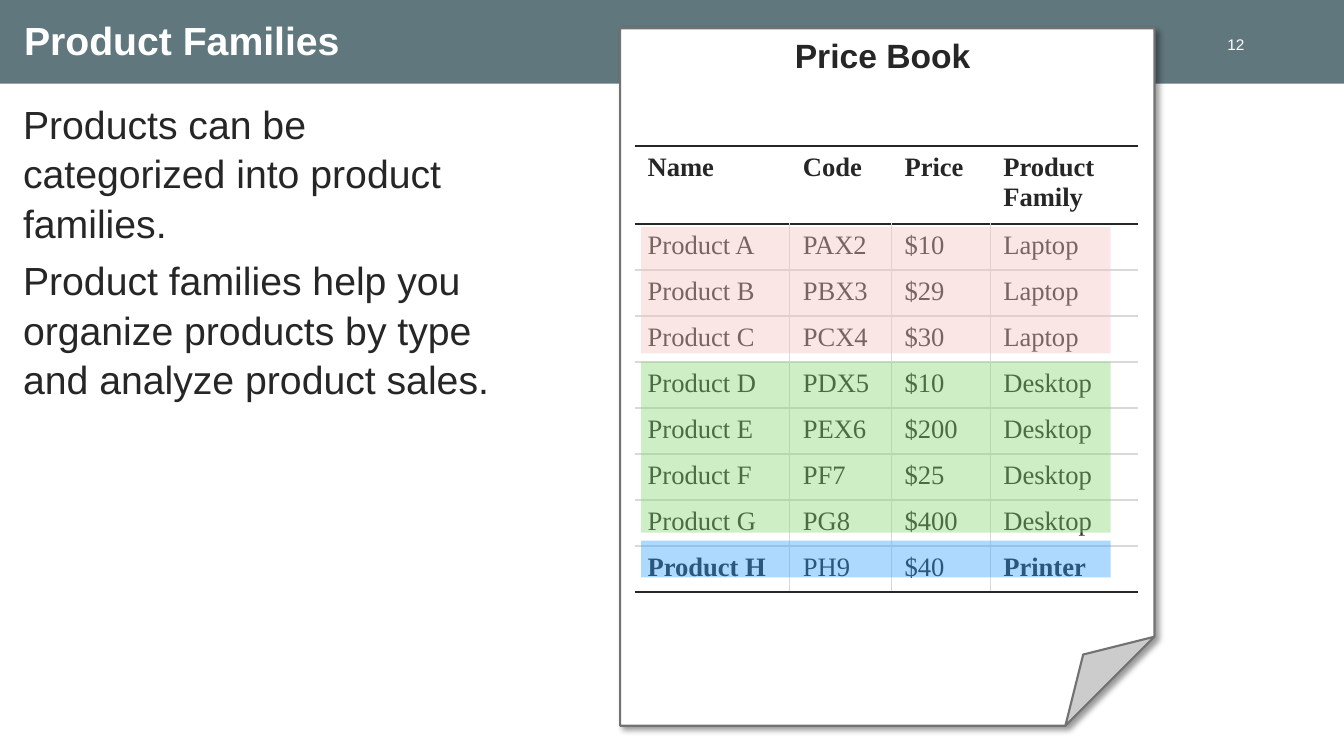
from collections import namedtuple

from lxml import etree
from pptx import Presentation
from pptx.dml.color import RGBColor
from pptx.enum.shapes import MSO_SHAPE
from pptx.enum.text import MSO_ANCHOR, PP_ALIGN
from pptx.oxml.ns import qn
from pptx.util import Inches, Pt

RECTANGLE, FOLDED_CORNER = MSO_SHAPE.RECTANGLE, MSO_SHAPE.FOLDED_CORNER
TOP, MIDDLE = MSO_ANCHOR.TOP, MSO_ANCHOR.MIDDLE
LEFT, CENTER, RIGHT = PP_ALIGN.LEFT, PP_ALIGN.CENTER, PP_ALIGN.RIGHT

COLORS = {
    "banner": "60777E", "white": "FFFFFF", "ink": "262626",
    "outline": "727272", "grid": "D9D9D9", "shadow": "000000",
    "Laptop": "F6C2C1", "Desktop": "85D86F", "Printer": "33A1FE",
}
SANS, SERIF = "Arial", "Times New Roman"
CELL_INSETS = (0.13, 0.07, 0.13, 0.07)

HEADINGS = ("Name", "Code", "Price", "Product Family")
PRODUCTS = (
    ("Product A", "PAX2", "$10", "Laptop"),
    ("Product B", "PBX3", "$29", "Laptop"),
    ("Product C", "PCX4", "$30", "Laptop"),
    ("Product D", "PDX5", "$10", "Desktop"),
    ("Product E", "PEX6", "$200", "Desktop"),
    ("Product F", "PF7", "$25", "Desktop"),
    ("Product G", "PG8", "$400", "Desktop"),
    ("Product H", "PH9", "$40", "Printer"),
)
COLUMN_WEIGHTS = (1.54, 1.01, 0.98, 1.47)

Box = namedtuple("Box", "left top width height")


def portion(box, left, top, width, height):
    """Return the part of a box given in percent of its width and height."""
    return Box(round(box.left + box.width * left / 100),
               round(box.top + box.height * top / 100),
               round(box.width * width / 100),
               round(box.height * height / 100))


def color(name):
    return RGBColor.from_string(COLORS[name])


def write(frame, *texts, size, ink="ink", font=SANS, bold=False, align=LEFT,
          anchor=TOP, insets=(0.1, 0.05, 0.1, 0.05), spacing=None, gap=0):
    """Fill a text frame with one paragraph per text; gap is in points."""
    frame.word_wrap = True
    frame.vertical_anchor = anchor
    (frame.margin_left, frame.margin_top,
     frame.margin_right, frame.margin_bottom) = map(Inches, insets)
    for index, text in enumerate(texts):
        paragraph = frame.add_paragraph() if index else frame.paragraphs[0]
        paragraph.alignment = align
        if spacing:
            paragraph.line_spacing = spacing
        if index:
            paragraph.space_before = Pt(gap)
        run = paragraph.add_run()
        run.text = text
        run.font.size, run.font.name, run.font.bold = Pt(size), font, bold
        run.font.color.rgb = color(ink)


def add_text(slide, box, *texts, **text_format):
    write(slide.shapes.add_textbox(*box).text_frame, *texts, **text_format)


def add_panel(slide, box, fill, kind=RECTANGLE, opacity=None):
    shape = slide.shapes.add_shape(kind, *box)
    shape.shadow.inherit = False
    shape.fill.solid()
    shape.fill.fore_color.rgb = color(fill)
    shape.line.fill.background()
    if opacity:
        tint = shape.fill._xPr.find(".//" + qn("a:srgbClr"))
        etree.SubElement(tint, qn("a:alpha"), val=str(opacity * 1000))
    return shape


def add_shadow(shape):
    effects = shape._element.spPr.find(qn("a:effectLst"))
    shadow = etree.SubElement(
        effects, qn("a:outerShdw"), blurRad=str(Pt(4)), dist=str(Pt(3)),
        dir=str(45 * 60000), algn="tl", rotWithShape="0")
    tint = etree.SubElement(shadow, qn("a:srgbClr"), val=COLORS["shadow"])
    etree.SubElement(tint, qn("a:alpha"), val="40000")


def set_borders(cell, **edges):
    """Draw the sides lnL, lnR, lnT and lnB given as (color, points) or None."""
    properties = cell._tc.get_or_add_tcPr()
    for index, side in enumerate(("lnL", "lnR", "lnT", "lnB")):
        line = etree.Element(qn("a:" + side))
        properties.insert(index, line)
        if edges[side]:
            name, points = edges[side]
            line.set("w", str(Pt(points)))
            fill = etree.SubElement(line, qn("a:solidFill"))
            etree.SubElement(fill, qn("a:srgbClr"), val=COLORS[name])
        else:
            etree.SubElement(line, qn("a:noFill"))


def add_banner(slide, box):
    add_panel(slide, box, "banner")
    add_text(slide, portion(box, 1.05, 0, 88.07, 98.8), "Product Families",
             size=28, ink="white", bold=True, anchor=MIDDLE, spacing=0.85,
             insets=(0.1, 0.1, 0.1, 0.05))
    add_text(slide, portion(box, 89.35, 39.76, 3.98, 26.51), "12", size=11,
             ink="white", align=RIGHT, anchor=MIDDLE, insets=(0.1, 0, 0.1, 0))


def add_price_table(slide, box, header_height, row_height):
    rows = (HEADINGS, *PRODUCTS)
    last_row, last_column = len(rows) - 1, len(HEADINGS) - 1
    table = slide.shapes.add_table(len(rows), len(HEADINGS), *box).table
    table.first_row = table.horz_banding = False
    for column, weight in zip(table.columns, COLUMN_WEIGHTS):
        column.width = round(box.width * weight / sum(COLUMN_WEIGHTS))
    rule, hairline = ("ink", 2), ("grid", 1)
    for r, values in enumerate(rows):
        table.rows[r].height = row_height if r else header_height
        for c, value in enumerate(values):
            cell = table.cell(r, c)
            cell.fill.solid()
            cell.fill.fore_color.rgb = color("white")
            bold = r == 0 or (r == last_row and c in (0, last_column))
            write(cell.text_frame, value, size=19, font=SERIF, bold=bold)
            (cell.margin_left, cell.margin_top,
             cell.margin_right, cell.margin_bottom) = map(Inches, CELL_INSETS)
            set_borders(cell,
                        lnL=hairline if r and c else None,
                        lnR=hairline if r and c < last_column else None,
                        lnT=rule if r < 2 else hairline,
                        lnB=rule if r in (0, last_row) else hairline)


def add_family_highlights(slide, box, row_height):
    """Tint the rows of each product family; the box holds all product rows."""
    families = [product[-1] for product in PRODUCTS]
    for family in dict.fromkeys(families):
        top = box.top + families.index(family) * row_height + Inches(0.05)
        height = families.count(family) * row_height - Inches(0.08)
        band = portion(box, 1.3, 0, 93.2, 0)
        add_panel(slide, band._replace(top=top, height=height), family,
                  opacity=40)


def add_price_book(slide, box):
    sheet = add_panel(slide, box, "white", FOLDED_CORNER)
    sheet.line.color.rgb = color("outline")
    sheet.line.width = Pt(1.5)
    add_shadow(sheet)
    write(sheet.text_frame, "Price Book ", size=24, bold=True, align=CENTER,
          insets=CELL_INSETS)
    table_box = portion(box, 2.7, 16.9, 94.3, 62.26)
    header_height = portion(box, 0, 0, 0, 10.9).height
    row_height = portion(box, 0, 0, 0, 6.42).height
    add_price_table(slide, table_box, header_height, row_height)
    product_rows = table_box._replace(top=table_box.top + header_height)
    add_family_highlights(slide, product_rows, row_height)


def main():
    presentation = Presentation()
    presentation.slide_width = Inches(13.33)
    presentation.slide_height = Inches(7.5)
    slide = presentation.slides.add_slide(presentation.slide_layouts[6])
    page = Box(0, 0, presentation.slide_width, presentation.slide_height)
    add_banner(slide, portion(page, 0, 0, 100, 11.07))
    add_price_book(slide, portion(page, 46.14, 3.73, 39.76, 92.27))
    add_text(slide, portion(page, 0.98, 12.27, 38.33, 86.8),
             "Products can be categorized into product families.",
             "Product families help you organize products by type and "
             "analyze product sales.",
             size=28, spacing=1.05, gap=6)
    presentation.save("out.pptx")


if __name__ == "__main__":
    main()
